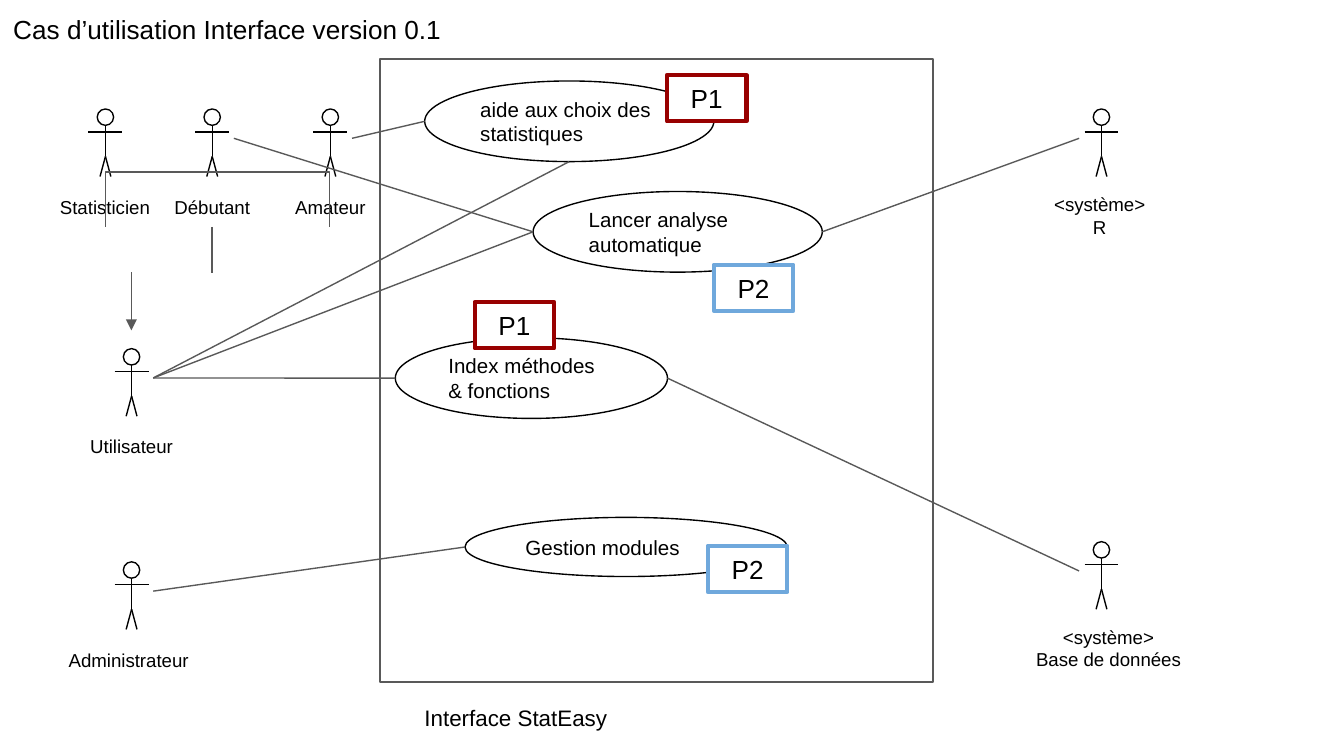
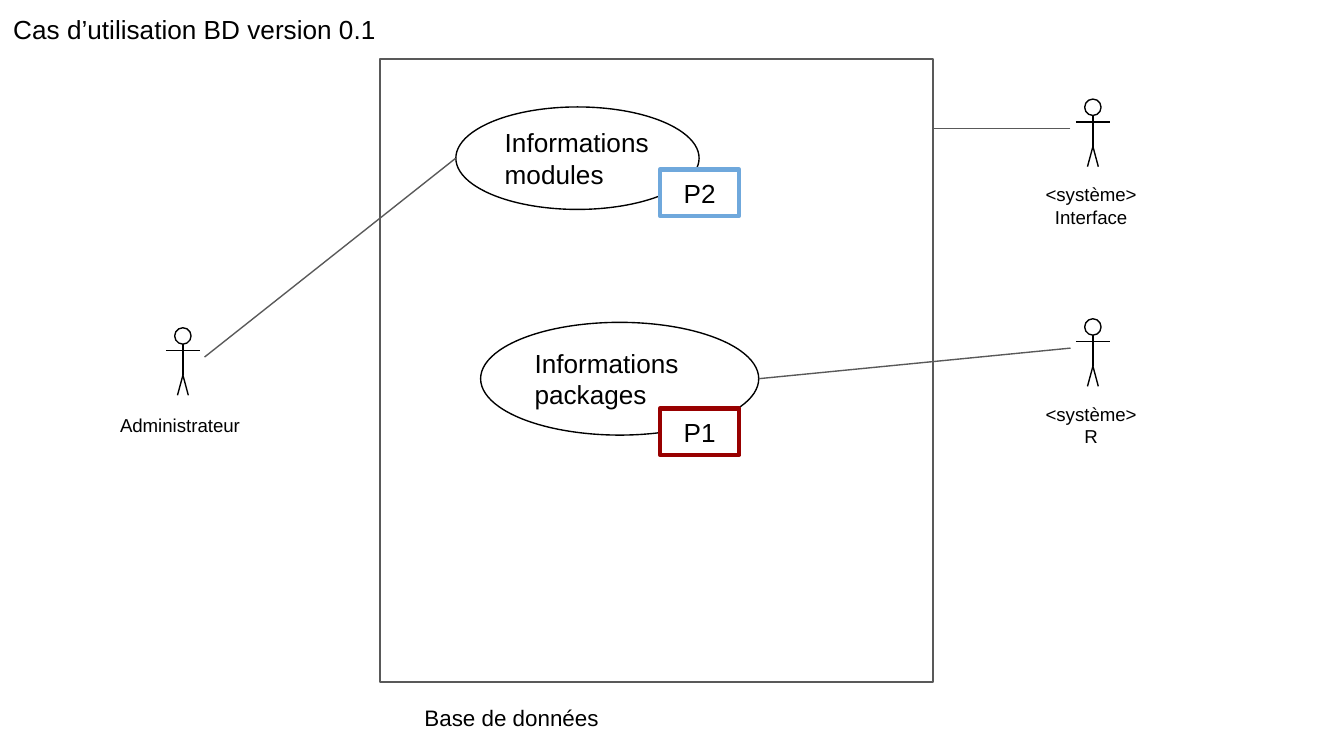
from collections import namedtuple

from lxml import etree
from pptx import Presentation
from pptx.dml.color import RGBColor
from pptx.enum.shapes import MSO_CONNECTOR, MSO_SHAPE
from pptx.enum.text import MSO_ANCHOR, PP_ALIGN
from pptx.oxml.ns import qn
from pptx.util import Pt

COLOURS = {
    "ink": "000000",
    "paper": "FFFFFF",
    "link": "595959",
    "P1": "980000",
    "P2": "6FA8DC",
}
FONT = "Arial"
THIN, THICK = 0.75, 2.25
INSET = 7.2
LABEL_HEIGHTS = {1: 22.3, 2: 31.7}

Sides = namedtuple("Sides", "left right bottom")


def colour(name):
    return RGBColor.from_string(COLOURS[name])


def write(shape, text, size=14, align=PP_ALIGN.LEFT, anchor=MSO_ANCHOR.MIDDLE):
    """Fill a shape with text, one paragraph per line."""
    frame = shape.text_frame
    frame.word_wrap = True
    frame.vertical_anchor = anchor
    frame.margin_left = frame.margin_right = Pt(INSET)
    frame.margin_top = frame.margin_bottom = Pt(INSET)
    frame.text = text
    for paragraph in frame.paragraphs:
        paragraph.alignment = align
        for run in paragraph.runs:
            run.font.name = FONT
            run.font.size = Pt(size)
            run.font.color.rgb = colour("ink")


class UseCaseDiagram:
    """One deck of use case diagrams; elements go on the current slide."""

    def __init__(self):
        self.deck = Presentation()
        self.deck.slide_width, self.deck.slide_height = Pt(720), Pt(405)
        self.shapes = None

    def start_slide(self, title, system):
        slide = self.deck.slides.add_slide(self.deck.slide_layouts[6])
        self.shapes = slide.shapes
        self.text(title, 0, 0, 254, 31.7, size=14, anchor=MSO_ANCHOR.TOP)
        self.shape(MSO_SHAPE.RECTANGLE, 203.6, 31.6, 296.2, 333.8, line="link")
        self.text(system, 220.3, 370.1, 193.7, 22.3, size=12, anchor=MSO_ANCHOR.TOP)

    def text(self, text, x, y, width, height, parent=None, **style):
        box = (parent or self.shapes).add_textbox(Pt(x), Pt(y), Pt(width), Pt(height))
        write(box, text, **style)

    def outline(self, shape, line, weight=THIN, fill=None):
        shape.shadow.inherit = False
        if fill:
            shape.fill.solid()
            shape.fill.fore_color.rgb = colour(fill)
        else:
            shape.fill.background()
        shape.line.color.rgb = colour(line)
        shape.line.width = Pt(weight)

    def shape(self, kind, x, y, width, height, parent=None, **style):
        shape = (parent or self.shapes).add_shape(
            kind, Pt(x), Pt(y), Pt(width), Pt(height))
        self.outline(shape, **style)
        return shape

    def link(self, start, end, parent=None, line="link", arrow=False):
        connector = (parent or self.shapes).add_connector(
            MSO_CONNECTOR.STRAIGHT, *(Pt(v) for v in (*start, *end)))
        connector.line.color.rgb = colour(line)
        connector.line.width = Pt(THIN)
        if arrow:
            etree.SubElement(connector.line._get_or_add_ln(), qn("a:tailEnd"),
                             type="triangle", w="med", len="med")
        etree.SubElement(connector._element.spPr, qn("a:effectLst"))

    def bracket(self, left, right, top, bottom):
        pen = self.shapes.build_freeform(Pt(left), Pt(bottom))
        corners = [(left, top), (right, top), (right, bottom)]
        pen.add_line_segments([(Pt(x), Pt(y)) for x, y in corners], close=False)
        self.outline(pen.convert_to_shape(), "link")

    def actor(self, label, x, top, width=63.5, shift=0):
        """Draw a stick figure centred on x and return where links meet it."""
        figure = self.shapes.add_group_shape().shapes
        head, arms, hip, feet = 8.8, top + 12.3, top + 25.4, top + 36.2
        self.shape(MSO_SHAPE.OVAL, x - head / 2, top, head, head, figure, line="ink")
        limbs = [
            ((x, top + head), (x, hip)),
            ((x, hip), (x - 2.9, feet)),
            ((x, hip), (x + 2.9, feet)),
            ((x - 9.1, arms), (x + 9.1, arms)),
        ]
        for start, end in limbs:
            self.link(start, end, figure, line="ink")
        height = LABEL_HEIGHTS[len(label.split("\n"))]
        self.text(label, x + shift - width / 2, top + 41.2, width, height, figure,
                  size=10, align=PP_ALIGN.CENTER)
        middle = top + 15.7
        return Sides((x - 12, middle), (x + 11.6, middle), (x, feet))

    def use_case(self, label, x, y, width, height=43.2, size=11, fill=None):
        """Draw a labelled ellipse and return where links meet it."""
        oval = self.shape(MSO_SHAPE.OVAL, x, y, width, height, line="ink", fill=fill)
        write(oval, label, size=size)
        middle = y + height / 2
        return Sides((x, middle), (x + width, middle), (x + width / 2, y + height))

    def priority(self, level, x, y):
        badge = self.shape(MSO_SHAPE.RECTANGLE, x, y, 42.6, 24.8,
                           line=level, weight=THICK, fill="paper")
        write(badge, level, align=PP_ALIGN.CENTER)


def draw_interface(diagram):
    diagram.start_slide("Cas d’utilisation Interface version 0.1", "Interface StatEasy")
    user = diagram.actor("Utilisateur", 70.5, 186.8)
    index = diagram.use_case("Index méthodes & fonctions", 211.8, 181, 145.8)
    modules = diagram.use_case("Gestion modules", 249.1, 277.2, 172.6, 31.7)
    guidance = diagram.use_case("aide aux choix des statistiques", 227.5, 43.4, 154.9)
    analysis = diagram.use_case("Lancer analyse automatique", 285.6, 102.6, 154.9)

    profile_top = 58.4
    diagram.actor("Statisticien", 56.5, profile_top, shift=-0.3)
    amateur = diagram.actor("Amateur", 177, profile_top)
    beginner = diagram.actor("Débutant", 113.7, profile_top)
    diagram.bracket(56.4, 176.6, 92.1, 121.6)
    diagram.link((113.5, 121.6), (113.5, 146.5))
    diagram.link((70.4, 146), (70.4, 177), arrow=True)

    admin = diagram.actor("Administrateur", 70.5, 301, 88.6, -1.6)
    r_system = diagram.actor("<système>\nR", 590.1, profile_top, 79.9, -1)
    database = diagram.actor("<système>\nBase de données", 590.1, 290.2, 107.3, 3.7)

    for start, end in [
        (user.right, index.left),
        (amateur.right, guidance.left),
        (beginner.right, analysis.left),
        (modules.left, admin.right),
        (r_system.left, analysis.right),
        (index.right, database.left),
        (user.right, guidance.bottom),
        (user.right, analysis.left),
    ]:
        diagram.link(start, end)

    diagram.priority("P1", 254.3, 161.8)
    diagram.priority("P1", 357.3, 40.2)
    diagram.priority("P2", 382.4, 141.8)
    diagram.priority("P2", 379.2, 292.4)


def draw_database(diagram):
    diagram.start_slide("Cas d’utilisation BD version 0.1", "Base de données")
    admin = diagram.actor("Administrateur", 98, 175.6, 88.6, -1.6)
    r_system = diagram.actor("<système>\nR", 585.5, 170.8, 79.9, -1)
    modules = diagram.use_case("Informations modules", 244.2, 57.3, 130.3, 54.9,
                               size=14, fill="paper")
    packages = diagram.use_case("Informations packages", 257.5, 172.7, 149, 60.4,
                                size=14, fill="paper")
    interface = diagram.actor("<système>\nInterface", 585.5, 53.1, 79.9, -1)

    diagram.link(packages.right, r_system.left)
    diagram.link(modules.left, admin.right)
    diagram.link(interface.left, (499.2, interface.left[1]))

    diagram.priority("P1", 353.5, 218.9)
    diagram.priority("P2", 353.5, 90.8)


def main():
    diagram = UseCaseDiagram()
    draw_interface(diagram)
    draw_database(diagram)
    diagram.deck.save("out.pptx")


if __name__ == "__main__":
    main()
